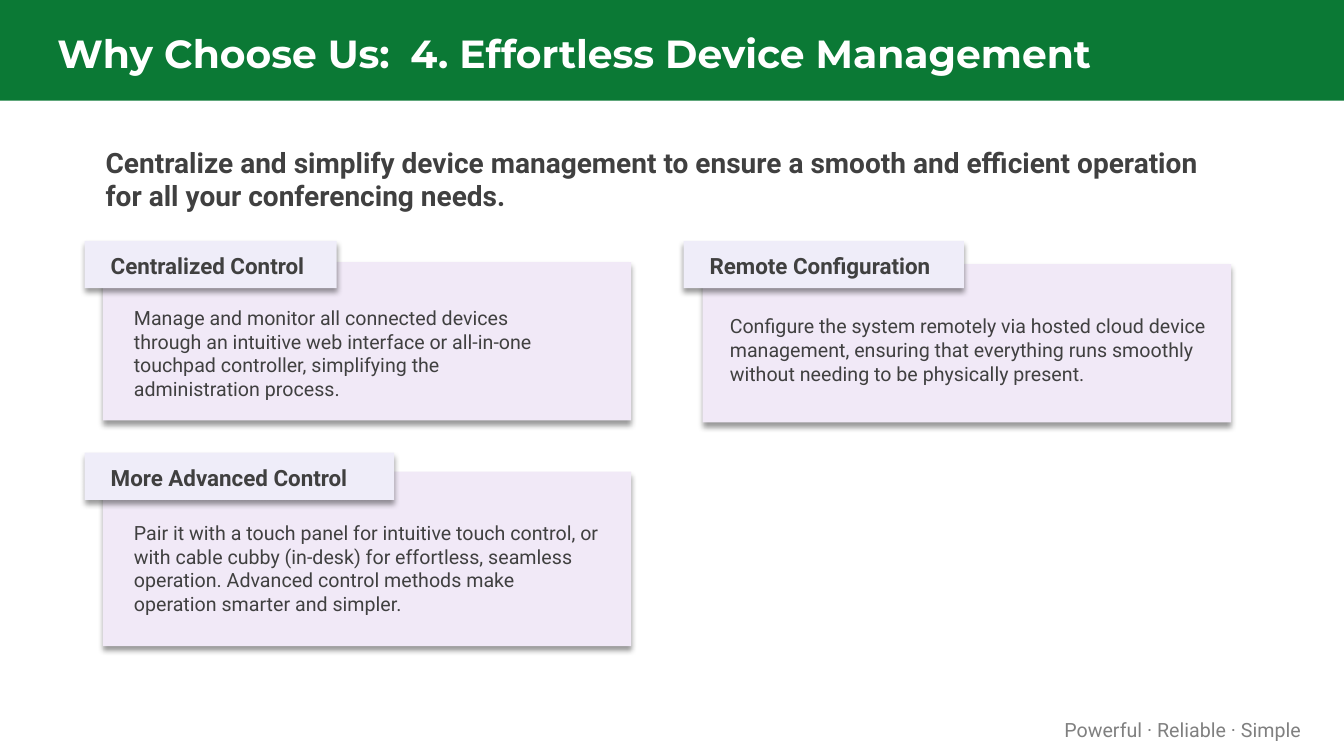
"""Builds the device management slide with its three labelled cards."""
from dataclasses import dataclass

from lxml import etree
from pptx import Presentation
from pptx import util as u
from pptx.dml.color import RGBColor
from pptx.enum import shapes, text
from pptx.oxml.ns import qn

PX = 9144


@dataclass(frozen=True)
class Theme:
    green: str = "0B7935"
    white: str = "FFFFFF"
    ink: str = "404040"
    grey: str = "808080"
    panel: str = "F1E9F7"
    label: str = "EFEDF9"
    shadow: str = "000000"
    head_font: str = "Montserrat"
    body_font: str = "Roboto"
    title: int = 28
    lead: int = 20
    heading: int = 16
    body: int = 14


@dataclass(frozen=True)
class Box:
    x: int
    y: int
    w: int
    h: int


@dataclass(frozen=True)
class Card:
    heading: str
    body: str
    panel: Box
    label: Box
    copy: Box


T = Theme()

CARDS = [
    Card("Centralized Control",
         "Manage and monitor all connected devices through an intuitive web interface "
         "or all-in-one touchpad controller, simplifying the administration process.",
         Box(102, 260, 524, 157), Box(84, 239, 250, 47), Box(123, 299, 452, 110)),
    Card("Remote Configuration",
         "Configure the system remotely via hosted cloud device management, ensuring that "
         "everything runs smoothly without needing to be physically present.",
         Box(697, 262, 524, 157), Box(678, 239, 278, 47), Box(714, 307, 496, 110)),
    Card("More Advanced Control",
         "Pair it with a touch panel for intuitive touch control, or with cable cubby "
         "(in-desk) for effortless, seamless operation. Advanced control methods make "
         "operation smarter and simpler.",
         Box(102, 468, 524, 173), Box(84, 449, 307, 47), Box(123, 512, 483, 108)),
]


def px(n: int) -> u.Emu:
    """Turn px into EMU."""
    return u.Emu(n * PX)


def place(box: Box) -> tuple:
    """Give a box as left, top, width and height in EMU."""
    return px(box.x), px(box.y), px(box.w), px(box.h)


def add_rect(s, box: Box, fill: str, shadow: bool = False) -> None:
    """Draw a plain rectangle, with a soft drop shadow on request."""
    sp = s.shapes.add_shape(shapes.MSO_SHAPE.RECTANGLE, *place(box))
    sp.shadow.inherit = False
    sp.fill.solid()
    sp.fill.fore_color.rgb = RGBColor.from_string(fill)
    sp.line.fill.background()
    if shadow:
        effects = sp._element.spPr.find(qn("a:effectLst"))
        outer = etree.SubElement(effects, qn("a:outerShdw"), blurRad=str(u.Pt(4)),
                                 dist=str(u.Pt(3)), dir="5400000", algn="t",
                                 rotWithShape="0")
        color = etree.SubElement(outer, qn("a:srgbClr"), val=T.shadow)
        etree.SubElement(color, qn("a:alpha"), val="40000")


def add_text(s, box: Box, content: str, *, size: int = T.body, color: str = T.ink,
             font: str = T.body_font, bold: bool = False, align=text.PP_ALIGN.LEFT,
             anchor=text.MSO_ANCHOR.TOP, inset: tuple = (10, 5),
             leading: int = 0, tab: int = 0) -> None:
    """Write one paragraph in a wrapping text box."""
    tf = s.shapes.add_textbox(*place(box)).text_frame
    tf.word_wrap = True
    tf.vertical_anchor = anchor
    tf.margin_left = tf.margin_right = px(inset[0])
    tf.margin_top = tf.margin_bottom = px(inset[1])
    p = tf.paragraphs[0]
    p.alignment = align
    if leading:
        p.line_spacing = u.Pt(leading)
    if tab:
        tabs = etree.SubElement(p._p.get_or_add_pPr(), qn("a:tabLst"))
        etree.SubElement(tabs, qn("a:tab"), pos=str(px(tab)), algn="l")
    r = p.add_run()
    r.text = content
    r.font.name = font
    r.font.size = u.Pt(size)
    r.font.bold = bold
    r.font.color.rgb = RGBColor.from_string(color)


def add_card(s, card: Card) -> None:
    """Draw a panel with its overlapping label and its copy."""
    add_rect(s, card.panel, T.panel, shadow=True)
    add_rect(s, card.label, T.label, shadow=True)
    heading = Box(card.label.x + 16, card.label.y + 4, card.label.w, 35)
    add_text(s, heading, card.heading, size=T.heading, bold=True, leading=21)
    add_text(s, card.copy, card.body)


def main() -> None:
    """Build and save the slide."""
    prs = Presentation()
    prs.slide_width, prs.slide_height = px(1333), px(750)
    s = prs.slides.add_slide(prs.slide_layouts[6])
    add_rect(s, Box(0, 0, 1333, 100), T.green)
    add_text(s, Box(50, 19, 1233, 67),
             "Why Choose Us:\t4. Effortless Device Management",
             size=T.title, color=T.white, font=T.head_font, bold=True,
             anchor=text.MSO_ANCHOR.MIDDLE, inset=(7, 3), tab=350)
    add_text(s, Box(95, 139, 1114, 78),
             "Centralize and simplify device management to ensure a smooth and "
             "efficient operation for all your conferencing needs.",
             size=T.lead, bold=True)
    for card in CARDS:
        add_card(s, card)
    add_text(s, Box(1029, 707, 288, 34), "Powerful · Reliable · Simple",
             color=T.grey, align=text.PP_ALIGN.CENTER)
    prs.save("out.pptx")


if __name__ == "__main__":
    main()
